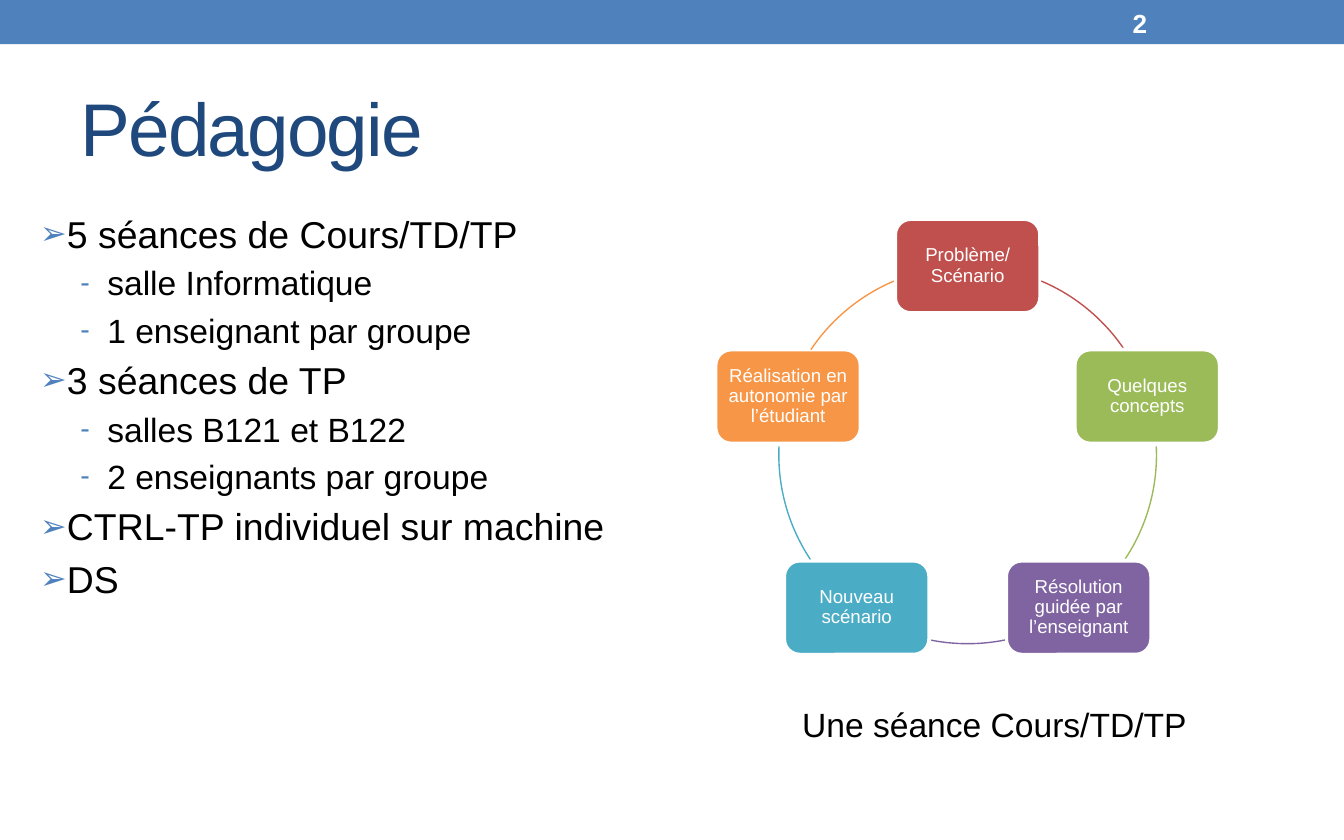
from math import cos, radians, sin

from lxml.etree import SubElement
from pptx import Presentation
from pptx.dml.color import RGBColor
from pptx.enum.shapes import MSO_SHAPE as Shape
from pptx.enum.text import MSO_ANCHOR as Anchor, MSO_AUTO_SIZE as AutoSize, PP_ALIGN as Align
from pptx.oxml.ns import qn
from pptx.util import Inches, Pt

# Content
TITLE = "Pédagogie"
PAGE = "2"
CAPTION = "Une séance Cours/TD/TP"
OUTLINE = [  # level, text
    (0, "5 séances de Cours/TD/TP"),
    (1, "salle Informatique"),
    (1, "1 enseignant par groupe"),
    (0, "3 séances de TP"),
    (1, "salles B121 et B122"),
    (1, "2 enseignants par groupe"),
    (0, "CTRL-TP individuel sur machine"),
    (0, "DS"),
]
CYCLE = [  # step, colour, start and end angle of the arc after it
    ("Problème/ Scénario", "C0504D", 293, 326.1),
    ("Quelques concepts", "9BBB59", 357.4, 33.6),
    ("Résolution guidée par l’enseignant", "8064A2", 78.6, 101.4),
    ("Nouveau scénario", "4BACC6", 146.4, 182.6),
    ("Réalisation en autonomie par l’étudiant", "F79646", 213.9, 247),
]

# Style
FONT = "Arial"
BLUE, NAVY, BLACK, WHITE = "4F81BD", "1F497D", "000000", "FFFFFF"
LEVELS = [  # bullet, left margin, text size
    ("➢", 0.2, 20),
    ("-", 0.5, 18),
]
HANGING = 0.2
CENTER_X, CENTER_Y, RADIUS = 7.2, 3.385, 1.405
STEP_W, STEP_H = 1.08, 0.7


def rgb(code):
    return RGBColor.from_string(code)


def add_run(paragraph, text, size, color, bold=False):
    run = paragraph.add_run()
    run.text = text
    font = run.font
    font.name, font.size, font.bold = FONT, Pt(size), bold
    font.color.rgb = rgb(color)
    return run


def add_shape(kind, left, top, width, height, fill=None, line=None, weight=0.75):
    shape = slide.shapes.add_shape(
        kind, Inches(left), Inches(top), Inches(width), Inches(height))
    shape.shadow.inherit = False
    for part, color in ((shape.fill, fill), (shape.line.fill, line)):
        if color:
            part.solid()
            part.fore_color.rgb = rgb(color)
        else:
            part.background()
    if line:
        shape.line.width = Pt(weight)
    return shape


def add_textbox(left, top, width, height, wrap=True):
    frame = slide.shapes.add_textbox(
        Inches(left), Inches(top), Inches(width), Inches(height)).text_frame
    frame.word_wrap = wrap
    return frame


def format_bullet(paragraph, level):
    bullet, margin, _ = LEVELS[level]
    paragraph.level = level
    props = paragraph._p.get_or_add_pPr()
    props.set("marL", str(Inches(margin)))
    props.set("indent", str(-Inches(HANGING)))
    before = SubElement(props, qn("a:spcBef"))
    SubElement(before, qn("a:spcPct"), val="20000")
    color = SubElement(props, qn("a:buClr"))
    SubElement(color, qn("a:srgbClr"), val=BLUE)
    SubElement(props, qn("a:buSzPct"), val="85000")
    SubElement(props, qn("a:buFont"), typeface=FONT)
    SubElement(props, qn("a:buChar"), char=bullet)


prs = Presentation()
prs.slide_width, prs.slide_height = Inches(10), Inches(6.25)
slide = prs.slides.add_slide(prs.slide_layouts[5])

# Top band and page number
add_shape(Shape.RECTANGLE, 0, 0, 10, 0.33, fill=BLUE)
page = add_textbox(8.33, 0.02, 1.17, 0.3)
page.vertical_anchor = Anchor.MIDDLE
add_run(page.paragraphs[0], PAGE, 14, WHITE, bold=True)

# Title
title = slide.shapes.title
title.left, title.top, title.width, title.height = map(Inches, (0.5, 0.49, 9, 0.9))
title.text_frame.auto_size = AutoSize.NONE
title.text_frame.vertical_anchor = Anchor.MIDDLE
heading = title.text_frame.paragraphs[0]
heading.alignment = Align.LEFT
add_run(heading, TITLE, 40, NAVY).font._element.set("spc", "-100")

# Outline
outline = add_textbox(0.2, 1.52, 5.51, 4.3)
for i, (level, text) in enumerate(OUTLINE):
    item = outline.paragraphs[0] if i == 0 else outline.add_paragraph()
    format_bullet(item, level)
    add_run(item, text, LEVELS[level][2], BLACK)

# Cycle: steps evenly spaced on a circle, clockwise from the top
for i, (text, color, start, end) in enumerate(CYCLE):
    angle = radians(360 / len(CYCLE) * i - 90)
    x = CENTER_X + RADIUS * cos(angle)
    y = CENTER_Y + RADIUS * sin(angle)
    step = add_shape(Shape.ROUNDED_RECTANGLE, x - STEP_W / 2, y - STEP_H / 2,
                     STEP_W, STEP_H, fill=color, line=WHITE, weight=2.08)
    frame = step.text_frame
    frame.word_wrap = True
    frame.vertical_anchor = Anchor.MIDDLE
    frame.margin_left = frame.margin_right = Inches(0.04)
    frame.margin_top = frame.margin_bottom = Inches(0.04)
    label = frame.paragraphs[0]
    label.alignment = Align.CENTER
    label.line_spacing = 0.9
    add_run(label, text, 10, WHITE)

    arc = add_shape(Shape.ARC, CENTER_X - RADIUS, CENTER_Y - RADIUS,
                    2 * RADIUS, 2 * RADIUS, line=color)
    # Angles are stored in 60000ths of a degree, adjustments in 100000ths
    arc.adjustments[0], arc.adjustments[1] = start * 0.6, end * 0.6

# Caption
caption = add_textbox(5.87, 5.19, 3.09, 0.4, wrap=False)
caption.auto_size = AutoSize.SHAPE_TO_FIT_TEXT
add_run(caption.paragraphs[0], CAPTION, 18, BLACK)

prs.save("out.pptx")
